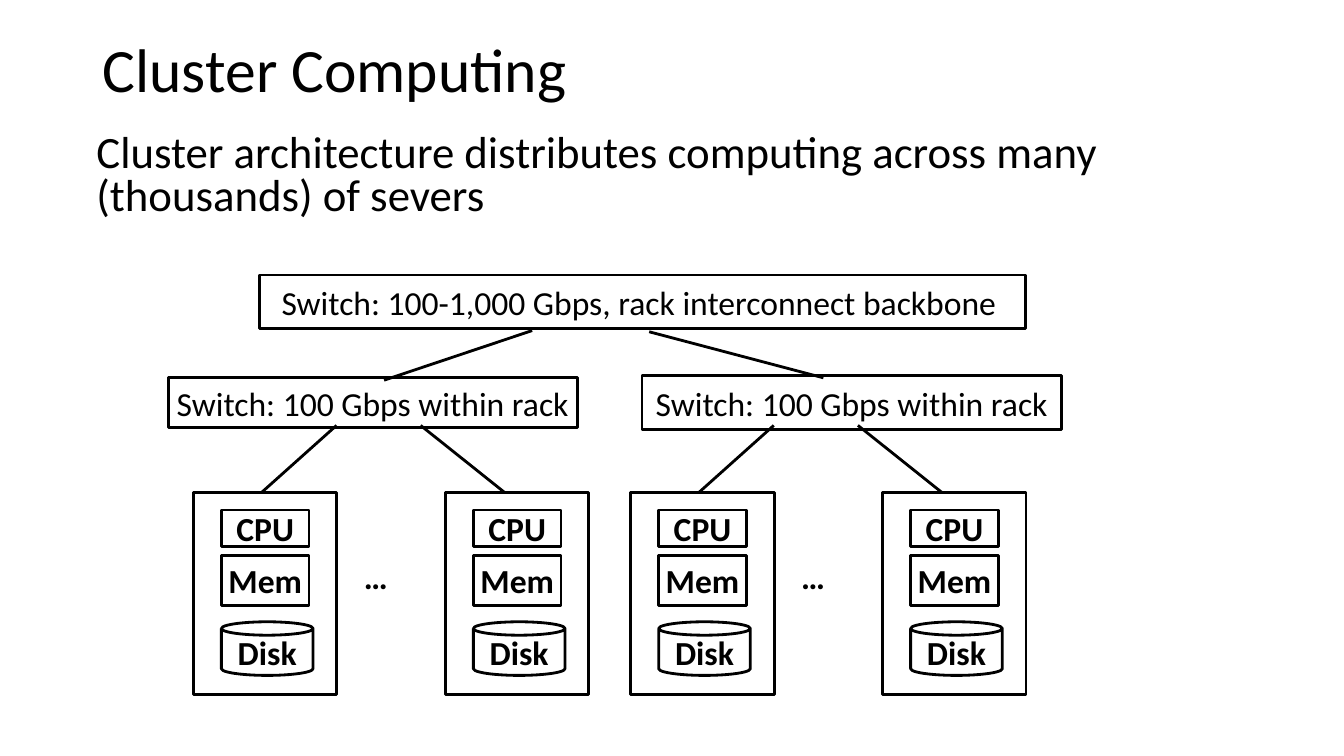
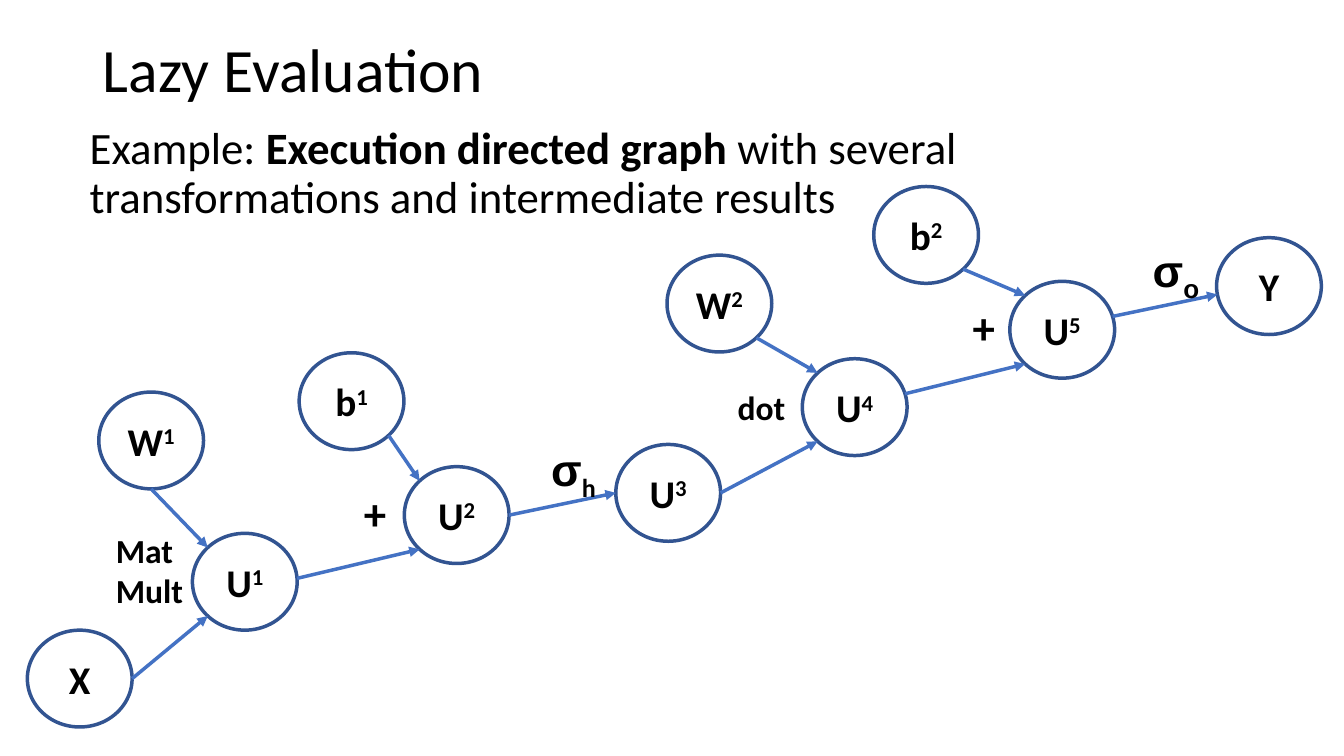
from dataclasses import dataclass
from math import cos, radians, sin

from lxml import etree
from pptx import Presentation
from pptx.dml.color import RGBColor
from pptx.enum.shapes import MSO_CONNECTOR, MSO_SHAPE
from pptx.enum.text import MSO_ANCHOR, PP_ALIGN
from pptx.oxml.ns import qn
from pptx.util import Cm, Pt

RECTANGLE = MSO_SHAPE.RECTANGLE
CAN = MSO_SHAPE.CAN
OVAL = MSO_SHAPE.OVAL
STRAIGHT = MSO_CONNECTOR.STRAIGHT
TOP = MSO_ANCHOR.TOP
MIDDLE = MSO_ANCHOR.MIDDLE
LEFT = PP_ALIGN.LEFT
CENTER = PP_ALIGN.CENTER


@dataclass(frozen=True)
class Theme:
    ink: RGBColor = RGBColor(0x00, 0x00, 0x00)
    node: RGBColor = RGBColor(0x32, 0x54, 0x91)
    edge: RGBColor = RGBColor(0x44, 0x72, 0xC4)
    font: str = "Calibri"
    symbol_font: str = "Arial"
    title: int = 44
    body: int = 32
    operator: int = 32
    node_text: int = 28
    label: int = 24
    box_line: float = 2
    graph_line: float = 2.5


THEME = Theme()

SERVER_TOP, SERVER_WIDTH, SERVER_HEIGHT = 12.42, 3.61, 5.08
SERVER_PITCH = 6.35
SERVER_PARTS = [
    ("CPU", RECTANGLE, 12.85, 2.21, 0.92),
    ("Mem", RECTANGLE, 14.0, 2.21, 1.25),
    ("Disk", CAN, 15.67, 2.31, 1.35),
]
RACKS = [
    (4.88, (4.24, 9.52, 10.31, 1.25)),
    (15.9, (16.18, 9.47, 10.57, 1.35)),
]
RACK_LINKS = [(3.6, 1.7), (5.72, 7.85)]
BACKBONE_LINKS = [
    ((9.68, 9.58), (13.41, 8.33)),
    ((16.36, 8.36), (20.75, 9.52)),
]

NODE_WIDTH, NODE_HEIGHT = 2.64, 2.44
NODES = {
    "X": (0.69, 15.88),
    "W1": (2.49, 9.88),
    "U1": (4.85, 13.44),
    "b1": (7.54, 8.89),
    "U2": (10.19, 11.76),
    "U3": (15.52, 11.2),
    "W2": (16.81, 6.43),
    "U4": (20.22, 9.04),
    "b2": (22.02, 4.7),
    "U5": (25.45, 7.09),
    "Y": (30.66, 5.99),
}
EDGES = [
    ("W1", 90, "U1", 225),
    ("X", 0, "U1", 135),
    ("U1", -4, "U2", 135),
    ("b1", 45, "U2", 225),
    ("U2", 0, "U3", 180),
    ("W2", 45, "U4", 225),
    ("U3", 0, "U4", 135),
    ("U4", -16, "U5", 135),
    ("b2", 45, "U5", 225),
    ("U5", -16, "Y", 170),
]


def write(frame, paragraphs, size, bold=False, font=THEME.font, align=LEFT,
          anchor=TOP, wrap=True, spacing=None):
    frame.word_wrap = wrap
    frame.vertical_anchor = anchor
    for index, runs in enumerate(paragraphs):
        paragraph = frame.paragraphs[0] if index == 0 else frame.add_paragraph()
        paragraph.alignment = align
        if spacing:
            paragraph.line_spacing = spacing
        paragraph.font.name = font
        paragraph.font.size = Pt(size)
        paragraph.font.bold = bold
        paragraph.font.color.rgb = THEME.ink
        for text in runs:
            paragraph.add_run().text = text
    return frame


def shift_baseline(run, percent):
    run.font._element.set("baseline", str(percent * 1000))


def add_text(slide, area, paragraphs, size, **style):
    box = slide.shapes.add_textbox(*map(Cm, area))
    return write(box.text_frame, paragraphs, size, **style)


def add_outline(shapes, kind, area, color, width):
    outline = shapes.add_shape(kind, *map(Cm, area))
    outline.shadow.inherit = False
    outline.fill.background()
    outline.line.color.rgb = color
    outline.line.width = Pt(width)
    return outline


def add_box(shapes, area, text="", kind=RECTANGLE, bold=False):
    box = add_outline(shapes, kind, area, THEME.ink, THEME.box_line)
    if text:
        write(box.text_frame, [[text]], THEME.label, bold=bold, align=CENTER,
              anchor=MIDDLE, wrap=False)


def add_link(slide, start, end, color, width, arrow=False):
    link = slide.shapes.add_connector(STRAIGHT, *map(Cm, (*start, *end)))
    link.line.color.rgb = color
    link.line.width = Pt(width)
    properties = link._element.spPr
    if arrow:
        etree.SubElement(properties.find(qn("a:ln")), qn("a:tailEnd"), type="triangle")
    etree.SubElement(properties, qn("a:effectLst"))


def add_slide(deck, title):
    slide = deck.slides.add_slide(deck.slide_layouts[6])
    add_text(slide, (2.34, 0, 29.21, 3.68), [[title]], THEME.title,
             anchor=MIDDLE, spacing=0.9)
    return slide


def add_server(slide, left):
    server = slide.shapes.add_group_shape().shapes
    for name, kind, top, width, height in SERVER_PARTS:
        add_box(server, (left + 0.7, top, width, height), name, kind, bold=True)
    add_box(server, (left, SERVER_TOP, SERVER_WIDTH, SERVER_HEIGHT))


def add_rack(slide, left, switch_area):
    for position in range(2):
        add_server(slide, left + position * SERVER_PITCH)
    add_text(slide, (left + 4.04, 13.89, 1.12, 1.27), [["…"]], THEME.label,
             bold=True, wrap=False)
    add_box(slide.shapes, switch_area, "Switch: 100 Gbps within rack")
    for start, end in RACK_LINKS:
        add_link(slide, (left + start, 10.72), (left + end, SERVER_TOP),
                 THEME.ink, THEME.box_line)


def add_node(slide, name):
    node = add_outline(slide.shapes, OVAL, (*NODES[name], NODE_WIDTH, NODE_HEIGHT),
                       THEME.node, THEME.graph_line)
    runs = [part for part in (name[0], name[1:]) if part]
    frame = write(node.text_frame, [runs], THEME.node_text, bold=True,
                  align=CENTER, anchor=MIDDLE, wrap=False)
    for index in frame.paragraphs[0].runs[1:]:
        shift_baseline(index, 30)


def rim_point(name, degrees):
    left, top = NODES[name]
    angle = radians(degrees)
    return (left + NODE_WIDTH / 2 * (1 + cos(angle)),
            top + NODE_HEIGHT / 2 * (1 + sin(angle)))


def add_activation(slide, left, top, layer, layer_font):
    frame = add_text(slide, (left, top, 2.08, 1.63), [["σ", layer]],
                     THEME.operator, bold=True, font=THEME.symbol_font)
    subscript = frame.paragraphs[0].runs[1]
    subscript.font.name = layer_font
    shift_baseline(subscript, -25)


def build_cluster(deck):
    slide = add_slide(deck, "Cluster Computing")
    add_text(slide, (2.18, 3.25, 29.21, 2.54),
             [["Cluster architecture distributes computing across many "
               "(thousands) of severs"]], THEME.body, spacing=0.8)
    add_box(slide.shapes, (6.55, 6.93, 19.3, 1.35),
            "Switch: 100-1,000 Gbps, rack interconnect backbone ")
    for left, switch_area in RACKS:
        add_rack(slide, left, switch_area)
    for start, end in BACKBONE_LINKS:
        add_link(slide, start, end, THEME.ink, THEME.box_line)


def build_graph(deck):
    slide = add_slide(deck, "Lazy Evaluation")
    intro = add_text(slide, (2.01, 3.05, 29.21, 2.77),
                     [["Example: ", "Execution directed graph ",
                       "with several transformations and intermediate results"]],
                     THEME.body, spacing=0.9)
    intro.paragraphs[0].runs[1].font.bold = True
    for name in NODES:
        add_node(slide, name)
    for source, source_angle, target, target_angle in EDGES:
        add_link(slide, rim_point(source, source_angle), rim_point(target, target_angle),
                 THEME.edge, THEME.graph_line, arrow=True)
    add_text(slide, (2.67, 13.23, 2.84, 2.31), [["Mat"], ["Mult"]], THEME.label, bold=True)
    add_text(slide, (18.34, 9.63, 2.84, 1.27), [["dot"]], THEME.label, bold=True)
    for left, top in [(8.92, 12.12), (24.26, 7.42)]:
        add_text(slide, (left, top, 1.02, 1.63), [["+"]], THEME.operator, bold=True)
    add_activation(slide, 13.64, 11.0, "h", THEME.font)
    add_activation(slide, 28.8, 5.99, "ο", THEME.symbol_font)


def main():
    deck = Presentation()
    deck.slide_width = Cm(33.87)
    deck.slide_height = Cm(19.05)
    build_cluster(deck)
    build_graph(deck)
    deck.save("out.pptx")


if __name__ == "__main__":
    main()
